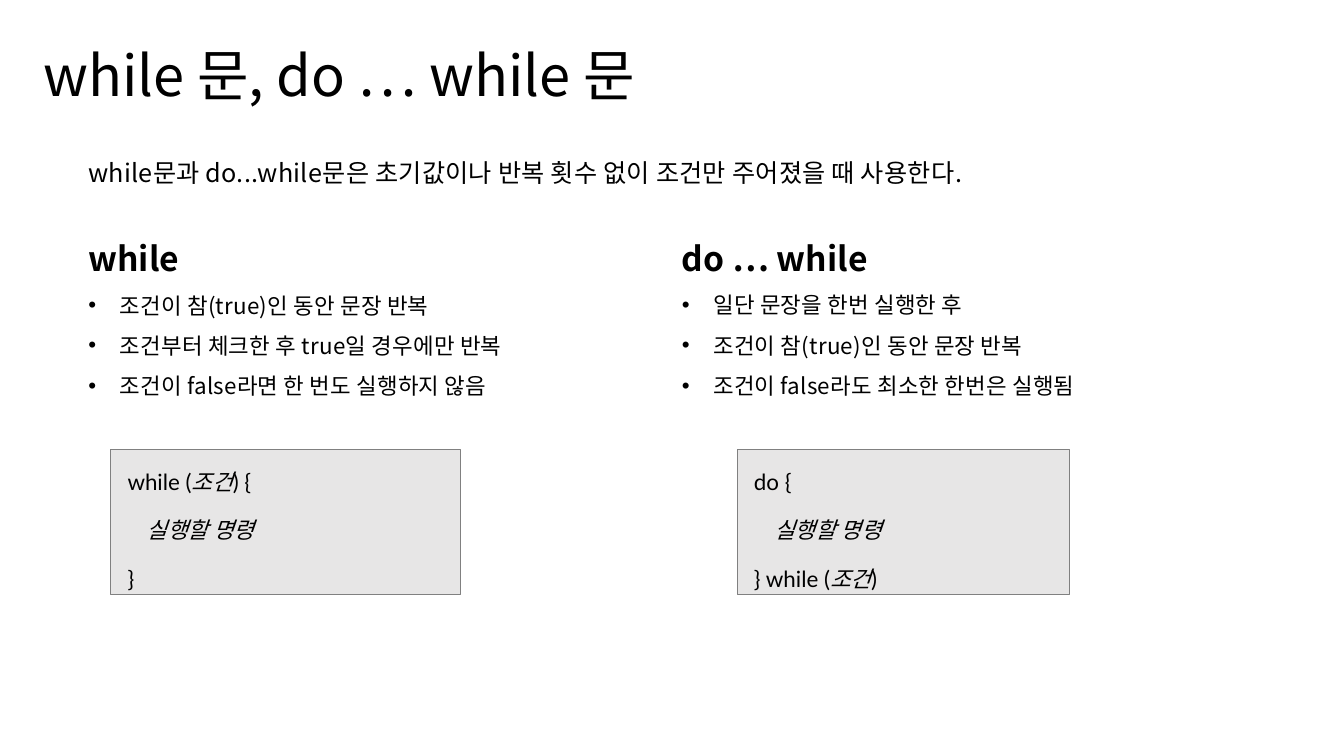
from lxml.etree import SubElement
from pptx import Presentation
from pptx.dml.color import RGBColor
from pptx.enum.shapes import MSO_SHAPE as Preset
from pptx.enum.text import MSO_ANCHOR as Anchor, MSO_AUTO_SIZE as AutoSize, PP_ALIGN as Align
from pptx.oxml.ns import qn
from pptx.util import Pt

BLACK = RGBColor(0x00, 0x00, 0x00)
GRAY = RGBColor(0x80, 0x80, 0x80)
LIGHT_GRAY = RGBColor(0xE7, 0xE6, 0xE6)
KOREAN_FONT = "Noto Sans CJK KR"
CODE_FONT = "Lato"
BODY_TRACKING = "18"

TITLE = "while 문, do … while 문"
INTRO = "while문과 do...while문은 초기값이나 반복 횟수 없이 조건만 주어졌을 때 사용한다."
WHILE_POINTS = [
    "조건이 참(true)인 동안 문장 반복",
    "조건부터 체크한 후 true일 경우에만 반복",
    "조건이 false라면 한 번도 실행하지 않음",
]
DO_WHILE_POINTS = [
    "일단 문장을 한번 실행한 후",
    "조건이 참(true)인 동안 문장 반복",
    "조건이 false라도 최소한 한번은 실행됨",
]
CONDITION = "조건"
COMMAND = "실행할 명령"
ITALIC_WORDS = (CONDITION, COMMAND)
WHILE_CODE = [["while (", CONDITION, ") {"], [COMMAND], ["}"]]
DO_WHILE_CODE = [["do {"], [COMMAND], ["} while (", CONDITION, ")"]]


def place(shape, left, top, width, height):
    shape.left, shape.top = Pt(left), Pt(top)
    shape.width, shape.height = Pt(width), Pt(height)


def style_run(run, size, font=KOREAN_FONT, bold=False, italic=False):
    run.font.size = Pt(size)
    run.font.name = font
    run.font.bold = bold
    run.font.italic = italic
    run.font.color.rgb = BLACK
    if font == KOREAN_FONT:
        SubElement(run.font._element, qn("a:ea"), typeface=font)
        if size < 24:
            run.font._element.set("spc", BODY_TRACKING)


def set_frame(shape, anchor=Anchor.TOP):
    frame = shape.text_frame
    frame.word_wrap = True
    frame.auto_size = AutoSize.NONE
    frame.vertical_anchor = anchor
    return frame


def set_indent(paragraph, left, first=0):
    properties = paragraph._p.get_or_add_pPr()
    properties.set("marL", str(Pt(left)))
    properties.set("indent", str(Pt(first)))
    return properties


def add_line(frame, index, text=""):
    paragraph = frame.add_paragraph() if index else frame.paragraphs[0]
    paragraph.text = text
    return paragraph


def set_single_line(shape, text, size, align):
    frame = set_frame(shape, Anchor.MIDDLE)
    frame.margin_top = frame.margin_bottom = 0
    frame.text = text
    frame.paragraphs[0].alignment = align
    style_run(frame.paragraphs[0].runs[0], size)


def add_intro(slide):
    shape = slide.shapes.add_textbox(Pt(56), Pt(108.7), Pt(743), Pt(28.8))
    set_single_line(shape, INTRO, 18, Align.JUSTIFY)


def add_points(slide, left, height, heading, points):
    shape = slide.shapes.add_textbox(Pt(left), Pt(152), Pt(404), Pt(height))
    frame = set_frame(shape)
    for index, text in enumerate([heading, *points]):
        paragraph = add_line(frame, index, text)
        paragraph.alignment = Align.JUSTIFY
        paragraph.line_spacing = 1.5
        is_heading = index == 0
        style_run(paragraph.runs[0], 24 if is_heading else 16, bold=is_heading)
        if not is_heading:
            properties = set_indent(paragraph, 22.5, -22.5)
            SubElement(properties, qn("a:buFont"), typeface="Arial")
            SubElement(properties, qn("a:buChar"), char="•")


def add_code(slide, left, width, lines, command_indent):
    shape = slide.shapes.add_shape(Preset.RECTANGLE, Pt(left), Pt(321), Pt(width), Pt(104))
    shape.shadow.inherit = False
    shape.fill.solid()
    shape.fill.fore_color.rgb = LIGHT_GRAY
    shape.line.color.rgb = GRAY
    shape.line.width = Pt(0.75)
    frame = set_frame(shape)
    for index, parts in enumerate(lines):
        paragraph = add_line(frame, index)
        paragraph.alignment = Align.LEFT
        paragraph.line_spacing = 1.5
        paragraph.space_before = paragraph.space_after = Pt(3)
        set_indent(paragraph, command_indent if parts == [COMMAND] else 5)
        for part in parts:
            run = paragraph.add_run()
            run.text = part
            style_run(run, 16, CODE_FONT, italic=part in ITALIC_WORDS)


def main():
    """Build the slide that compares while with do … while."""
    presentation = Presentation()
    presentation.slide_width, presentation.slide_height = Pt(960), Pt(540)
    slide = presentation.slides.add_slide(presentation.slide_layouts[5])
    place(slide.shapes.title, 24, 25, 482, 55.4)
    set_single_line(slide.shapes.title, TITLE, 40, Align.LEFT)
    add_intro(slide)
    add_points(slide, 56, 137.5, "while", WHILE_POINTS)
    add_points(slide, 480, 134.6, "do … while", DO_WHILE_POINTS)
    add_code(slide, 79, 249.7, WHILE_CODE, 18.7)
    add_code(slide, 526.5, 237.6, DO_WHILE_CODE, 19.5)
    presentation.save("out.pptx")


if __name__ == "__main__":
    main()
